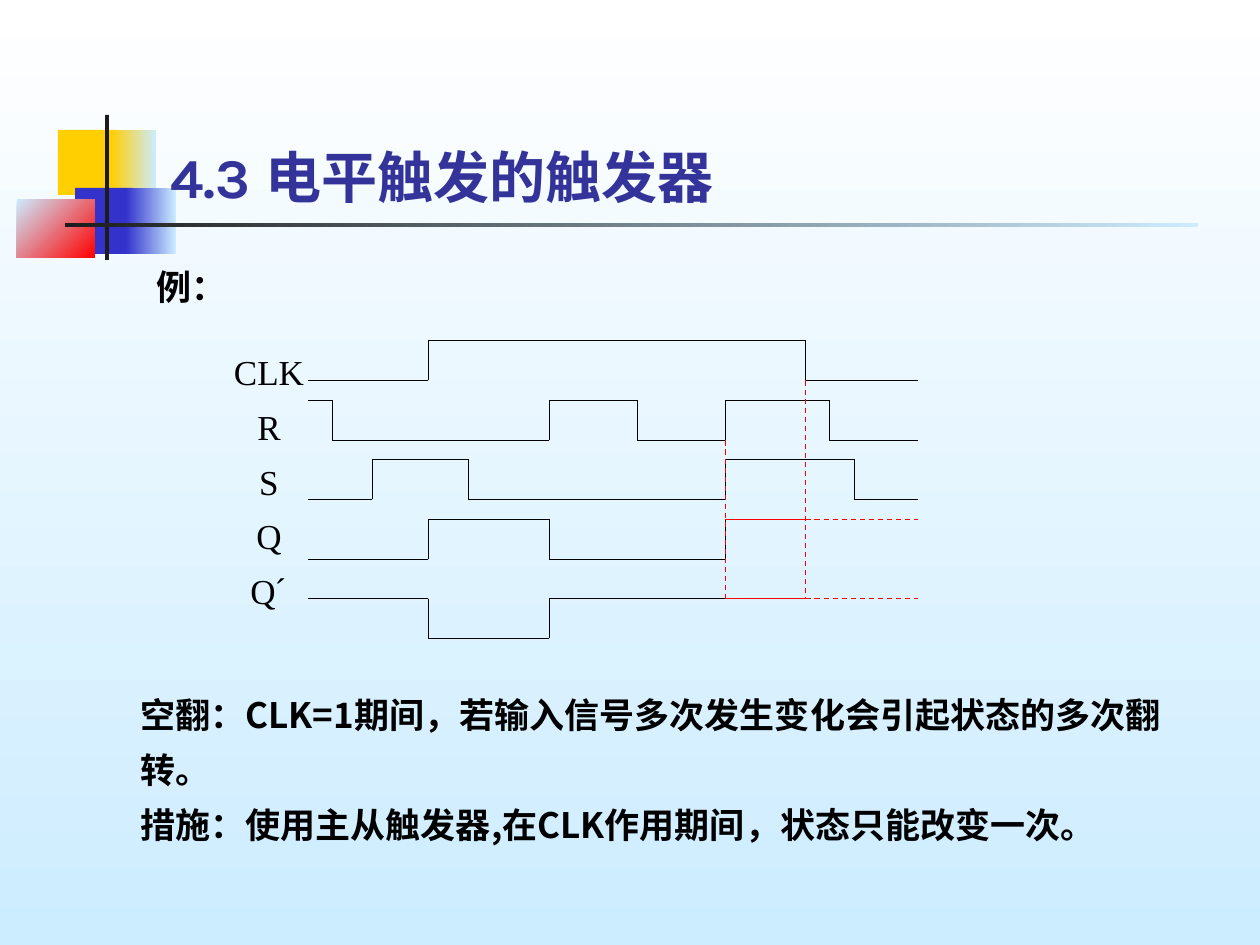
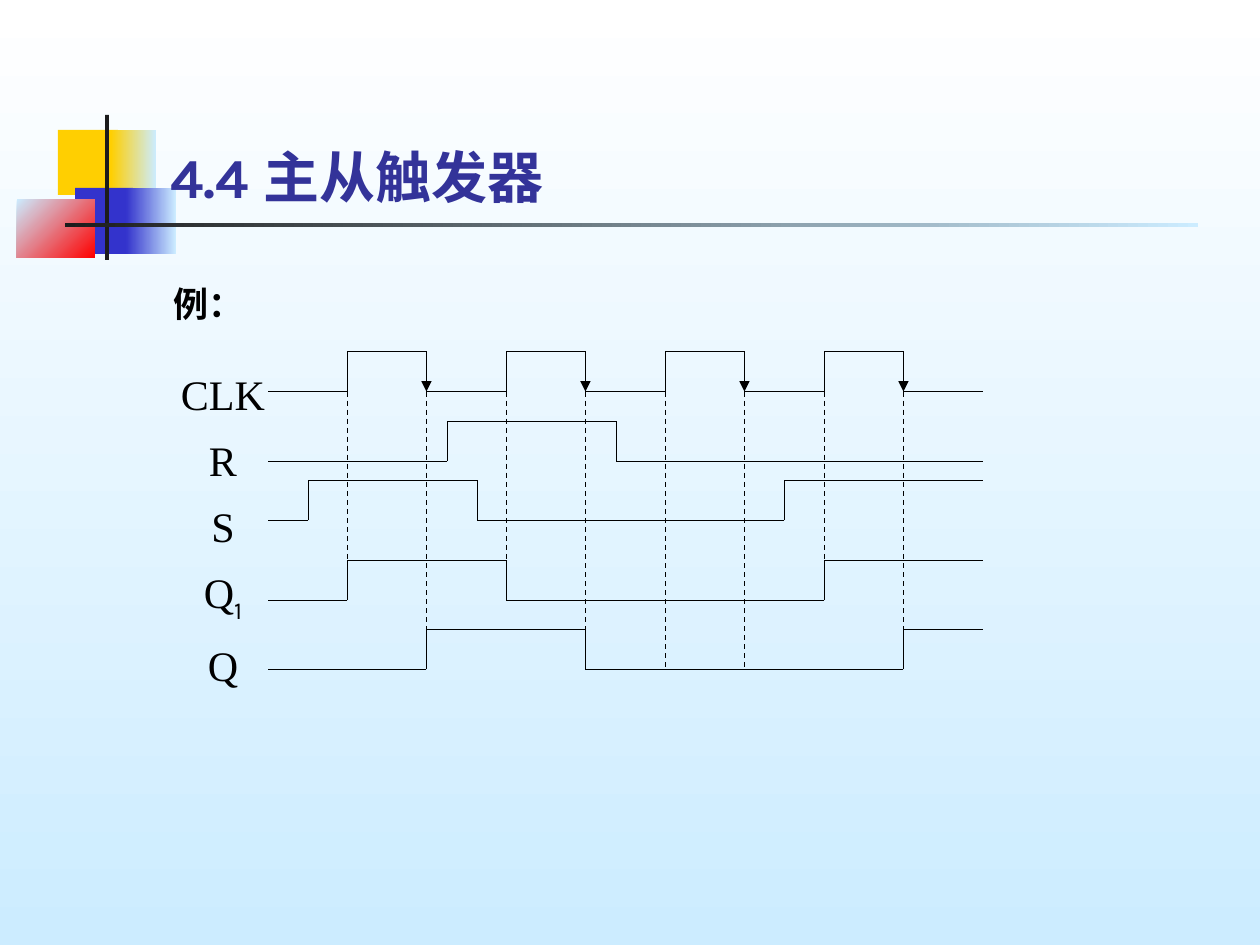
"""Build two lecture slides with timing diagrams of level-triggered and master-slave flip-flops."""
from dataclasses import dataclass

from lxml.etree import SubElement
from pptx import Presentation
from pptx.dml.color import RGBColor
from pptx.enum.dml import MSO_LINE
from pptx.enum.shapes import MSO_CONNECTOR, MSO_SHAPE
from pptx.enum.text import MSO_ANCHOR, MSO_AUTO_SIZE, PP_ALIGN
from pptx.oxml.ns import qn
from pptx.util import Emu, Pt


@dataclass(frozen=True)
class Theme:
    ink: str = "000000"
    title: str = "333399"
    sky: str = "CCECFF"
    white: str = "FFFFFF"
    yellow: str = "FFCF01"
    blue: str = "3333CC"
    red: str = "FF0000"
    bar: str = "1C1C1C"
    title_font: str = "Karla"
    body_font: str = "Noto Sans CJK SC"
    label_font: str = "Times New Roman"
    prime_font: str = "Arial"
    title_size: int = 32
    body_size: int = 20
    large_label_size: int = 24
    line_width: float = 0.75


theme = Theme()
PX = 914400 / 126
PULSE = 40
LINE_CENTER = 0.5


def write(frame, lines, size, font, color=theme.ink, bold=False, align=PP_ALIGN.LEFT, spacing=None, before=0):
    """Fill a text frame with evenly styled paragraphs."""
    for index, line in enumerate(lines):
        para = frame.paragraphs[0] if index == 0 else frame.add_paragraph()
        para.text = line
        para.alignment = align
        para.line_spacing = spacing
        para.space_before = Pt(before if index else 0)
        para.font.size = Pt(size)
        para.font.bold = bold
        para.font.color.rgb = RGBColor.from_string(color)
        para.font.name = font
        SubElement(para._p.pPr.find(qn("a:defRPr")), qn("a:ea"), typeface=theme.body_font)


def draw_line(slide, x1, y1, x2, y2, color=theme.ink, dashed=False, arrow=False):
    """Draw a thin straight line between two points in px."""
    ends = (Emu(round((v + LINE_CENTER) * PX)) for v in (x1, y1, x2, y2))
    line = slide.shapes.add_connector(MSO_CONNECTOR.STRAIGHT, *ends)
    line.line.color.rgb = RGBColor.from_string(color)
    line.line.width = Pt(theme.line_width)
    if dashed:
        line.line.dash_style = MSO_LINE.DASH
    if arrow:
        SubElement(line.line._get_or_add_ln(), qn("a:tailEnd"), type="triangle")
    SubElement(line.element.spPr, qn("a:effectLst"))


deck = Presentation()
deck.slide_width, deck.slide_height = Emu(round(1260 * PX)), Emu(round(945 * PX))
master = deck.slide_master
background = master.background.fill
background.gradient()
background.gradient_angle = 270
for stop, color in zip(background.gradient_stops, (theme.white, theme.sky)):
    stop.color.rgb = RGBColor.from_string(color)

tick = [268 + 715 * step // 9 for step in range(10)]
pages = [
    {
        "title": "4.3 电平触发的触发器",
        "texts": [
            {"at": (199, 332, 140, 286), "lines": ["CLK", "R", "S", "Q", "Q"], "size": theme.body_size,
             "font": theme.label_font, "align": PP_ALIGN.CENTER, "spacing": 1.3},
            {"at": (144, 259, 94, 55), "lines": ["例："], "size": theme.body_size,
             "font": theme.body_font, "bold": True},
            {"at": (128, 675, 1072, 122), "size": theme.body_size, "font": theme.body_font, "bold": True,
             "spacing": 1.3,
             "lines": ["空翻：CLK=1期间，若输入信号多次发生变化会引起状态的多次翻转。",
                       "措施：使用主从触发器,在CLK作用期间，状态只能改变一次。"]},
        ],
        "suffix": (4, "´", theme.prime_font, 0),
        "signals": [
            (340, False, [308, 428, 805, 918]),
            (400, True, [308, 332, 549, 637, 725, 829, 918]),
            (459, False, [308, 372, 468, 725, 854, 918]),
            (519, False, [308, 428, 549, 725]),
            (598, True, [308, 428, 549, 725]),
        ],
        "arrows": False,
        "extra": [(725, 519, 725, 559, theme.ink, False)]
        + [(x1, y, x2, y, theme.red, dashed) for y in (519, 598)
           for x1, x2, dashed in ((725, 805, False), (805, 918, True))]
        + [(805, 380, 805, 598, theme.red, True), (725, 440, 725, 598, theme.red, True)],
    },
    {
        "title": "4.4 主从触发器",
        "texts": [
            {"at": (153, 357, 140, 360), "lines": ["CLK", "R", "S", "Q", "Q"],
             "size": theme.large_label_size, "font": theme.label_font, "align": PP_ALIGN.CENTER,
             "spacing": 1.1, "before": 6},
            {"at": (161, 276, 94, 55), "lines": ["例："], "size": theme.body_size,
             "font": theme.body_font, "bold": True},
        ],
        "suffix": (3, "1", theme.title_font, -25000),
        "signals": [
            (351, False, tick),
            (421, False, [tick[0], 447, 616, tick[9]]),
            (480, False, [tick[0], 308, 477, 784, tick[9]]),
            (560, False, [tick[0], tick[1], tick[3], tick[7], tick[9]]),
            (629, False, [tick[0], tick[2], tick[4], tick[8], tick[9]]),
        ],
        "arrows": True,
        "extra": [(x, 391, x, end, theme.ink, True)
                  for x, end in zip(tick[1:9], (560, 629, 560, 629, 669, 669, 560, 629))],
    },
]

for page in pages:
    slide = deck.slides.add_slide(deck.slide_layouts[5])
    title = slide.shapes.title
    title.left, title.top, title.width, title.height = (Emu(round(v * PX)) for v in (158, 116, 993, 100))
    title.text_frame.vertical_anchor = MSO_ANCHOR.BOTTOM
    title.text_frame.auto_size = MSO_AUTO_SIZE.NONE
    write(title.text_frame, [page["title"]], theme.title_size, theme.title_font, theme.title, True)

    for text in page["texts"]:
        box = slide.shapes.add_textbox(*(Emu(round(v * PX)) for v in text["at"]))
        box.text_frame.word_wrap = True
        write(box.text_frame, **{key: value for key, value in text.items() if key != "at"})

    row, mark, font, baseline = page["suffix"]
    labels = slide.shapes[1].text_frame
    span = labels.paragraphs[row].add_run()
    span.text = mark
    span.font.name = font
    if baseline:
        span._r.get_or_add_rPr().set("baseline", str(baseline))

    for row, (top, high, edges) in enumerate(page["signals"]):
        for index, (start, end) in enumerate(zip(edges, edges[1:])):
            level = top if high else top + PULSE
            if index:
                falling = page["arrows"] and row == 0 and not high
                draw_line(slide, start, 2 * top + PULSE - level, start, level, arrow=falling)
            draw_line(slide, start, level, end, level)
            high = not high
    for line in page["extra"]:
        draw_line(slide, *line)

bands = [
    ((58, 130, 60, 65), [theme.yellow], 0),
    ((111, 130, 45, 65), [theme.yellow, theme.sky], 0),
    ((75, 188, 58, 66), [theme.blue], 0),
    ((126, 188, 50, 66), [theme.blue, theme.sky], 0),
    ((17, 199, 78, 59), [theme.sky, theme.red], 315),
    ((105, 115, 4, 145), [theme.bar], 0),
    ((65, 223, 1133, 4), [theme.bar, theme.sky], 0),
]
for number, (at, colors, angle) in enumerate(bands, start=101):
    band = deck.slides[0].shapes.add_shape(MSO_SHAPE.RECTANGLE, *(Emu(round(v * PX)) for v in at))
    band.shadow.inherit = False
    band.line.fill.background()
    if len(colors) == 1:
        band.fill.solid()
        band.fill.fore_color.rgb = RGBColor.from_string(colors[0])
    else:
        band.fill.gradient()
        band.fill.gradient_angle = angle
        for stop, color in zip(band.fill.gradient_stops, colors):
            stop.color.rgb = RGBColor.from_string(color)
    band.element.nvSpPr.cNvPr.set("id", str(number))
    master.shapes.element.append(band.element)

deck.save("out.pptx")
